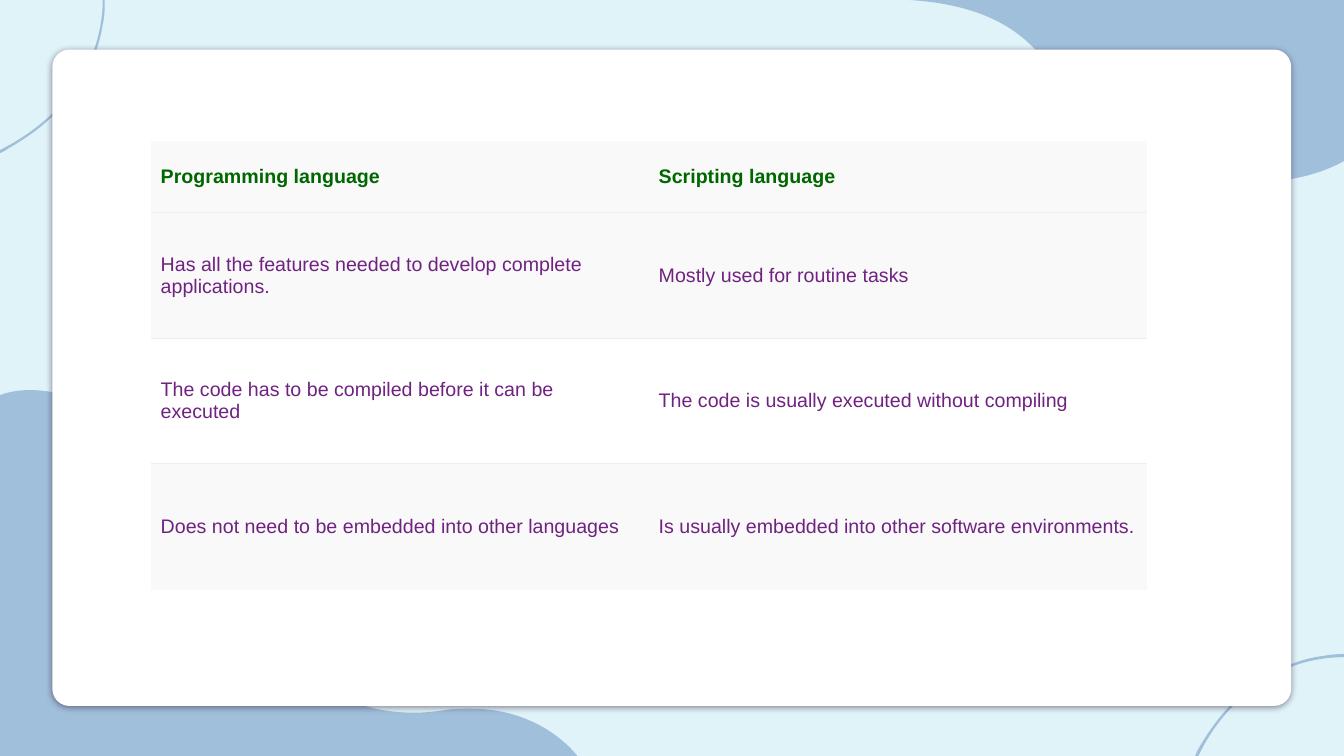
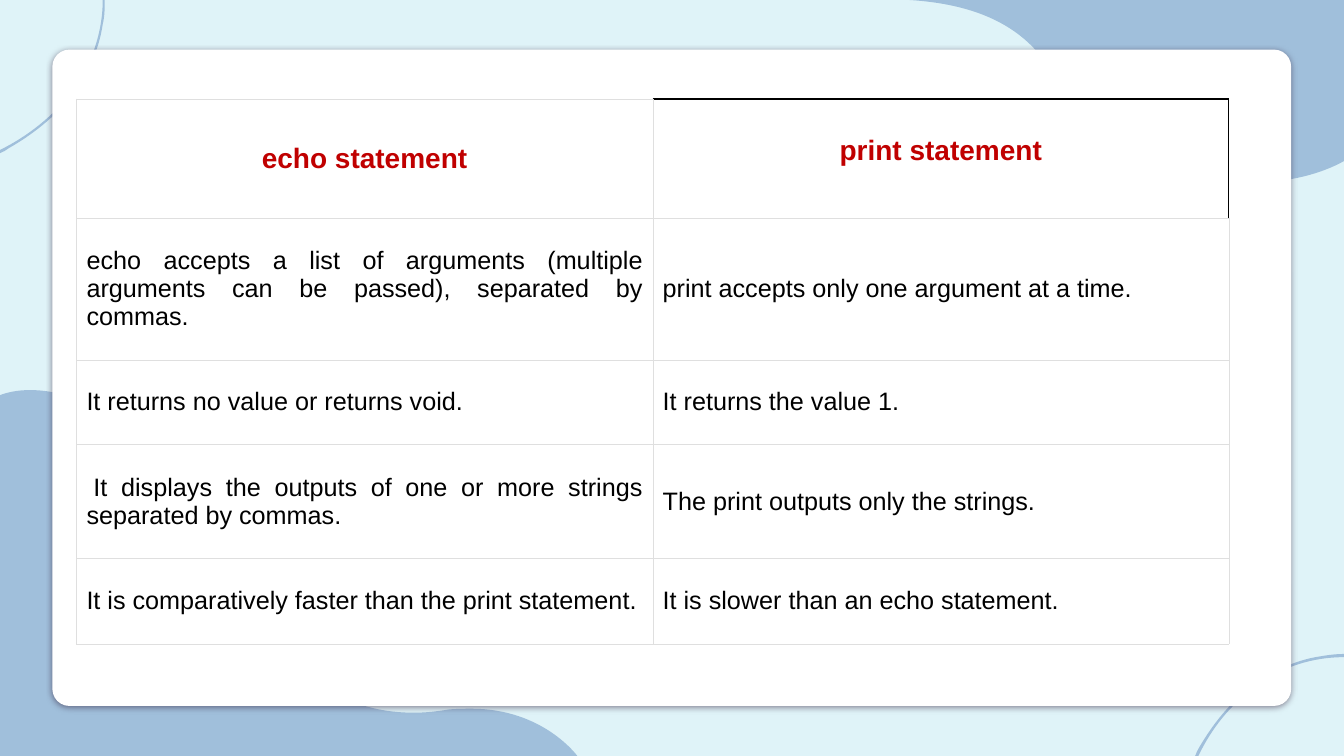
"""Build two slides that compare languages and output statements."""
from dataclasses import dataclass, field

from lxml import etree
from pptx import Presentation, util as u
from pptx.dml.color import RGBColor
from pptx.enum import shapes, text
from pptx.oxml import ns
from pptx.slide import Slide
from pptx.table import _Cell as Cell

SKY = RGBColor(0xDF, 0xF3, 0xF8)
BLUE = RGBColor(0xA0, 0xBF, 0xDB)
DUSK = RGBColor(0x21, 0x0A, 0x26)
WHITE = RGBColor(0xFF, 0xFF, 0xFF)
BLACK = RGBColor(0, 0, 0)
PALE = RGBColor(0xF9, 0xF9, 0xF9)
RULE = RGBColor(0xEE, 0xEE, 0xEE)
FRAME = RGBColor(0xDF, 0xDF, 0xDF)
GREEN = RGBColor(0, 0x66, 0)
PLUM = RGBColor(0x70, 0x22, 0x81)
RED = RGBColor(0xC0, 0, 0)
FONT = "Arial"
HARD = chr(160)
WIDE, HIGH = 33.87, 19.05

Step = tuple[float, ...]

BLOBS: list[list[Step]] = [
    [(0.76, 9.83), (0.28, 9.83, 0, 9.96, 0, 9.96), (0, HIGH), (14.55, HIGH),
     (14.55, HIGH, 13.69, 17.86, 11.89, 17.86),
     (11.68, 17.86, 11.51, 17.86, 11.3, 17.88),
     (11, 17.93, 10.72, 17.96, 10.44, 17.96),
     (8.56, 17.96, 6.86, 16.97, 4.93, 13.23),
     (3.45, 10.31, 1.73, 9.83, 0.76, 9.83)],
    [(22.91, 0), (24.54, 0.1, 25.73, 0.61, 26.44, 1.7),
     (27.86, 3.91, 29.9, 4.6, 31.55, 4.6),
     (32.49, 4.6, 33.32, 4.37, WIDE, 4.06), (WIDE, 0)],
    [(2.59, 0), (2.59, 0.81, 2.31, 1.63, 1.83, 2.29),
     (1.35, 2.92, 0.71, 3.43, 0, 3.78), (0, 3.86),
     (0.08, 3.84, 0.15, 3.78, 0.23, 3.73),
     (0.81, 3.4, 1.35, 2.97, 1.78, 2.46),
     (2.18, 1.93, 2.49, 1.3, 2.59, 0.61),
     (2.64, 0.41, 2.64, 0.2, 2.64, 0)],
    [(WIDE, 16.48), (33.66, 16.48, 33.45, 16.51, 33.27, 16.54),
     (32.61, 16.64, 32, 16.94, 31.47, 17.35),
     (30.96, 17.75, 30.56, 18.26, 30.23, 18.82),
     (30.18, 18.9, 30.15, 18.97, 30.12, HIGH), (30.2, HIGH),
     (30.53, 18.36, 31.01, 17.75, 31.65, 17.3),
     (32.28, 16.81, 33.07, 16.56, WIDE, 16.56)],
]


@dataclass(frozen=True)
class Edge:
    ink: RGBColor
    width: float


@dataclass(frozen=True)
class Style:
    size: int
    ink: RGBColor
    bold: bool = False
    align: text.PP_ALIGN = text.PP_ALIGN.LEFT
    pad: float = 0.13


@dataclass(frozen=True)
class Grid:
    left: float
    top: float
    col: float
    rows: list[float]
    words: list[tuple[str, str]]
    head: Style
    body: Style
    fills: list[RGBColor]
    edge: Edge
    boxed: bool
    marks: dict[tuple[int, int], dict[str, Edge]] = field(default_factory=dict)
    drops: dict[tuple[int, int], float] = field(default_factory=dict)


LANGS = Grid(
    3.8, 3.55, 12.55, [1.8, 3.17, 3.17, 3.17],
    [("Programming language", "Scripting language"),
     ("Has all the features needed to develop complete applications.",
      "Mostly used for routine tasks"),
     ("The code has to be compiled before it can be executed",
      "The code is usually executed without compiling"),
     ("Does not need to be embedded into other languages",
      "Is usually embedded into other software environments.")],
    Style(14, GREEN, True), Style(14, PLUM),
    [PALE, PALE, WHITE, PALE], Edge(RULE, 0.75), False)

PRINTS = Grid(
    1.93, 2.49, 14.52, [3, 3.58, 2.13, 2.87, 2.16],
    [("echo statement", "print statement"),
     ("echo accepts a list of arguments (multiple arguments can be passed), "
      "separated by commas.", "print accepts only one argument at a time."),
     (f"It returns no value or returns void.{HARD}",
      "It returns the value 1."),
     (f"{HARD}It displays the outputs of one or more strings "
      "separated by commas.", "The print outputs only the strings."),
     ("It is comparatively faster than the print statement.",
      "It is slower than an echo statement.")],
    Style(20, RED, True, text.PP_ALIGN.CENTER, 0.25),
    Style(18, BLACK, False, text.PP_ALIGN.JUSTIFY, 0.38),
    [WHITE] * 5, Edge(FRAME, 0.23), True,
    {(0, 1): {"T": Edge(BLACK, 1.25), "R": Edge(BLACK, 0.75)}},
    {(0, 1): 0.91})


def add_blob(slide: Slide, steps: list[Step]) -> None:
    first, *ends = [(u.Cm(s[-2]), u.Cm(s[-1])) for s in steps]
    pen = slide.shapes.build_freeform(*first)
    pen.add_line_segments(ends, close=True)
    blob = pen.convert_to_shape()
    lines = list(blob._element.iter(ns.qn("a:lnTo")))
    for line, step in zip(lines, steps[1:]):
        if len(step) == 6:
            line.tag = ns.qn("a:cubicBezTo")
            for i in (0, 2):
                x, y = u.Cm(step[i]) - blob.left, u.Cm(step[i + 1]) - blob.top
                spot = etree.Element(ns.qn("a:pt"), x=str(x), y=str(y))
                line.insert(i // 2, spot)
    blob.shadow.inherit = False
    blob.fill.solid()
    blob.fill.fore_color.rgb = BLUE
    blob.line.fill.background()


def add_card(slide: Slide) -> None:
    card = slide.shapes.add_shape(
        shapes.MSO_SHAPE.ROUNDED_RECTANGLE,
        u.Cm(1.32), u.Cm(1.25), u.Cm(31.22), u.Cm(16.54))
    card.adjustments[0] = 0.026
    card.fill.solid()
    card.fill.fore_color.rgb = WHITE
    card.line.fill.background()
    card.shadow.inherit = False
    glow = card._element.spPr.find(ns.qn("a:effectLst"))
    shade = etree.SubElement(
        glow, ns.qn("a:outerShdw"), blurRad=str(u.Pt(4.5)),
        dist=str(u.Pt(1.5)), dir="5400000", algn="t", rotWithShape="0")
    tint = etree.SubElement(shade, ns.qn("a:srgbClr"), val=str(DUSK))
    etree.SubElement(tint, ns.qn("a:alpha"), val="50000")


def set_edges(cell: Cell, edges: dict[str, Edge]) -> None:
    props = cell._tc.get_or_add_tcPr()
    for side in "LRTB":
        line = etree.SubElement(props, ns.qn(f"a:ln{side}"))
        edge = edges.get(side)
        if edge:
            line.set("w", str(u.Pt(edge.width)))
            fill = etree.SubElement(line, ns.qn("a:solidFill"))
            etree.SubElement(fill, ns.qn("a:srgbClr"), val=str(edge.ink))
        else:
            etree.SubElement(line, ns.qn("a:noFill"))


def set_text(cell: Cell, words: str, style: Style) -> None:
    cell.text = words
    cell.vertical_anchor = text.MSO_ANCHOR.MIDDLE
    cell.margin_left = cell.margin_right = u.Cm(0.25)
    cell.margin_top = cell.margin_bottom = u.Cm(style.pad)
    para = cell.text_frame.paragraphs[0]
    para.alignment = style.align
    para.font.name = FONT
    para.font.size = u.Pt(style.size)
    para.font.bold = style.bold
    para.font.color.rgb = style.ink


def add_grid(slide: Slide, grid: Grid) -> None:
    last = len(grid.rows) - 1
    table = slide.shapes.add_table(
        last + 1, 2, u.Cm(grid.left), u.Cm(grid.top),
        u.Cm(2 * grid.col), u.Cm(sum(grid.rows))).table
    table.first_row = table.horz_banding = False
    for col in table.columns:
        col.width = u.Cm(grid.col)
    for r, pair in enumerate(grid.words):
        table.rows[r].height = u.Cm(grid.rows[r])
        sides = "LRTB" if grid.boxed else "T" * (r > 0) + "B" * (r < last)
        for c, words in enumerate(pair):
            cell = table.cell(r, c)
            set_text(cell, words, grid.body if r else grid.head)
            if (r, c) in grid.drops:
                cell.vertical_anchor = text.MSO_ANCHOR.TOP
                cell.margin_top = u.Cm(grid.drops[r, c])
            edges = dict.fromkeys(sides, grid.edge)
            set_edges(cell, edges | grid.marks.get((r, c), {}))
            cell.fill.solid()
            cell.fill.fore_color.rgb = grid.fills[r]


def main() -> None:
    deck = Presentation()
    deck.slide_width, deck.slide_height = u.Cm(WIDE), u.Cm(HIGH)
    back = deck.slide_master.background.fill
    back.solid()
    back.fore_color.rgb = SKY
    for grid in (LANGS, PRINTS):
        slide = deck.slides.add_slide(deck.slide_layouts[6])
        for steps in BLOBS:
            add_blob(slide, steps)
        add_card(slide)
        add_grid(slide, grid)
    deck.save("out.pptx")


if __name__ == "__main__":
    main()
